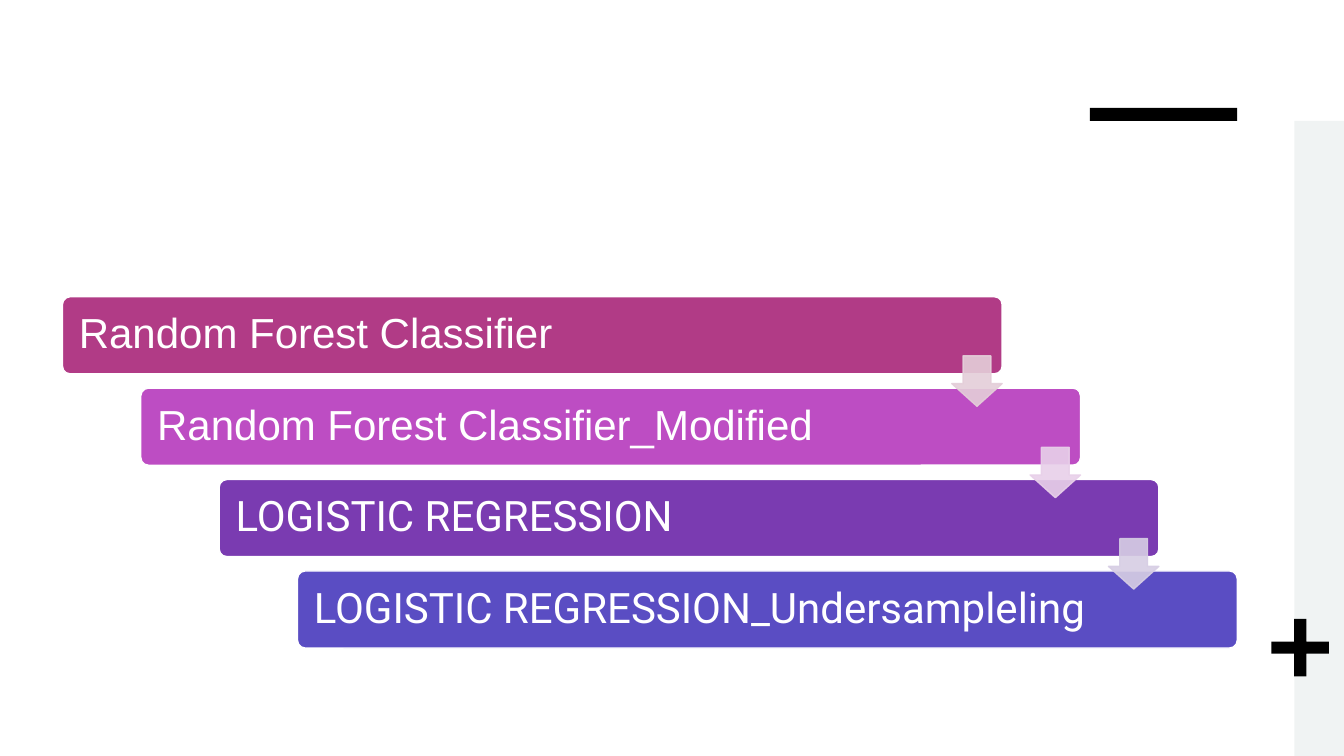
from dataclasses import dataclass

from lxml.etree import SubElement
from pptx import Presentation
from pptx.dml.color import RGBColor
from pptx.enum.shapes import MSO_SHAPE
from pptx.enum.text import MSO_ANCHOR, PP_ALIGN
from pptx.oxml.ns import qn
from pptx.shapes.autoshape import Shape
from pptx.slide import Slide
from pptx.util import Inches, Pt

BLACK = RGBColor(0x00, 0x00, 0x00)
WHITE = RGBColor(0xFF, 0xFF, 0xFF)
PALE_GREY = RGBColor(0xF0, 0xF3, 0xF3)
MAGENTA = RGBColor(0xB1, 0x3B, 0x86)
ORCHID = RGBColor(0xBD, 0x4D, 0xC3)
PURPLE = RGBColor(0x7A, 0x3B, 0xB1)
INDIGO = RGBColor(0x5A, 0x4D, 0xC3)
PALE_MAGENTA = RGBColor(0xE4, 0xCE, 0xD9)
PALE_ORCHID = RGBColor(0xE8, 0xD0, 0xE9)
PALE_PURPLE = RGBColor(0xD7, 0xCE, 0xE4)

# The grid has 100 columns and 100 rows
SLIDE_WIDTH, SLIDE_HEIGHT = Inches(13.33), Inches(7.5)
COLUMN, ROW = SLIDE_WIDTH / 100, SLIDE_HEIGHT / 100


@dataclass(frozen=True)
class Box:
    """A rectangle in grid columns and rows."""
    left: float
    top: float
    width: float
    height: float

    def moved(self, step: int) -> "Box":
        return Box(self.left + step * STEP_COLUMNS, self.top + step * STEP_ROWS,
                   self.width, self.height)


@dataclass(frozen=True)
class Stage:
    text: str
    font: str
    colour: RGBColor


@dataclass(frozen=True)
class Decoration:
    kind: MSO_SHAPE
    box: Box
    colour: RGBColor
    adjustments: tuple[float, ...] = ()


# Each stage sits one step right of and below the one before
STEP_COLUMNS, STEP_ROWS = 5.83, 12.09
FIRST_BAR = Box(4.65, 39.25, 69.92, 10.2)
FIRST_ARROW = Box(70.82, 47.07, 3.75, 6.67)

STAGES = (
    Stage("Random Forest Classifier", "Arial", MAGENTA),
    Stage("Random Forest Classifier_Modified", "Arial", ORCHID),
    Stage("LOGISTIC REGRESSION", "Roboto", PURPLE),
    Stage("LOGISTIC REGRESSION_Undersampleling", "Roboto", INDIGO),
)
ARROW_COLOURS = (PALE_MAGENTA, PALE_ORCHID, PALE_PURPLE)
DECORATIONS = (
    Decoration(MSO_SHAPE.RECTANGLE, Box(81.1, 14.27, 10.95, 1.73), BLACK),
    Decoration(MSO_SHAPE.RECTANGLE, Box(96.3, 16, 3.7, 84), PALE_GREY),
    Decoration(MSO_SHAPE.CROSS, Box(94.6, 81.87, 4.28, 7.6), BLACK, (0.395,)),
)


def add_block(slide: Slide, kind: MSO_SHAPE, box: Box, fill: RGBColor, *,
              line: RGBColor | None = None,
              adjustments: tuple[float, ...] = ()) -> Shape:
    shape = slide.shapes.add_shape(
        kind, round(box.left * COLUMN), round(box.top * ROW),
        round(box.width * COLUMN), round(box.height * ROW))
    shape.shadow.inherit = False
    for index, value in enumerate(adjustments):
        shape.adjustments[index] = value
    shape.fill.solid()
    shape.fill.fore_color.rgb = fill
    if line is None:
        shape.line.fill.background()
    else:
        shape.line.color.rgb = line
        shape.line.width = Pt(1)
    return shape


def write_text(shape: Shape, text: str, *, font: str, size: float,
               colour: RGBColor) -> None:
    frame = shape.text_frame
    frame.word_wrap = True
    frame.vertical_anchor = MSO_ANCHOR.MIDDLE
    frame.margin_left = frame.margin_right = Inches(0.14)
    frame.margin_top = frame.margin_bottom = Inches(0.12)
    paragraph = frame.paragraphs[0]
    paragraph.alignment = PP_ALIGN.LEFT
    paragraph.line_spacing = 0.9
    run = paragraph.add_run()
    run.text = text
    run.font.name = font
    run.font.size = Pt(size)
    run.font.color.rgb = colour


def set_opacity(shape: Shape, percent: int) -> None:
    for colour in shape.element.spPr.iter(qn("a:srgbClr")):
        SubElement(colour, qn("a:alpha"), val=str(percent * 1000))


def main() -> None:
    presentation = Presentation()
    presentation.slide_width = SLIDE_WIDTH
    presentation.slide_height = SLIDE_HEIGHT
    slide = presentation.slides.add_slide(presentation.slide_layouts[6])

    # Margin decorations
    for item in DECORATIONS:
        add_block(slide, item.kind, item.box, item.colour,
                  adjustments=item.adjustments)

    # Staircase of models
    for step, stage in enumerate(STAGES):
        bar = add_block(slide, MSO_SHAPE.ROUNDED_RECTANGLE, FIRST_BAR.moved(step),
                        stage.colour, line=WHITE, adjustments=(0.1,))
        write_text(bar, stage.text, font=stage.font, size=30, colour=WHITE)

    # Arrows between the steps
    for step, colour in enumerate(ARROW_COLOURS):
        arrow = add_block(slide, MSO_SHAPE.DOWN_ARROW, FIRST_ARROW.moved(step),
                          colour, line=colour, adjustments=(0.55, 0.45))
        set_opacity(arrow, 90)

    presentation.save("out.pptx")


if __name__ == "__main__":
    main()
